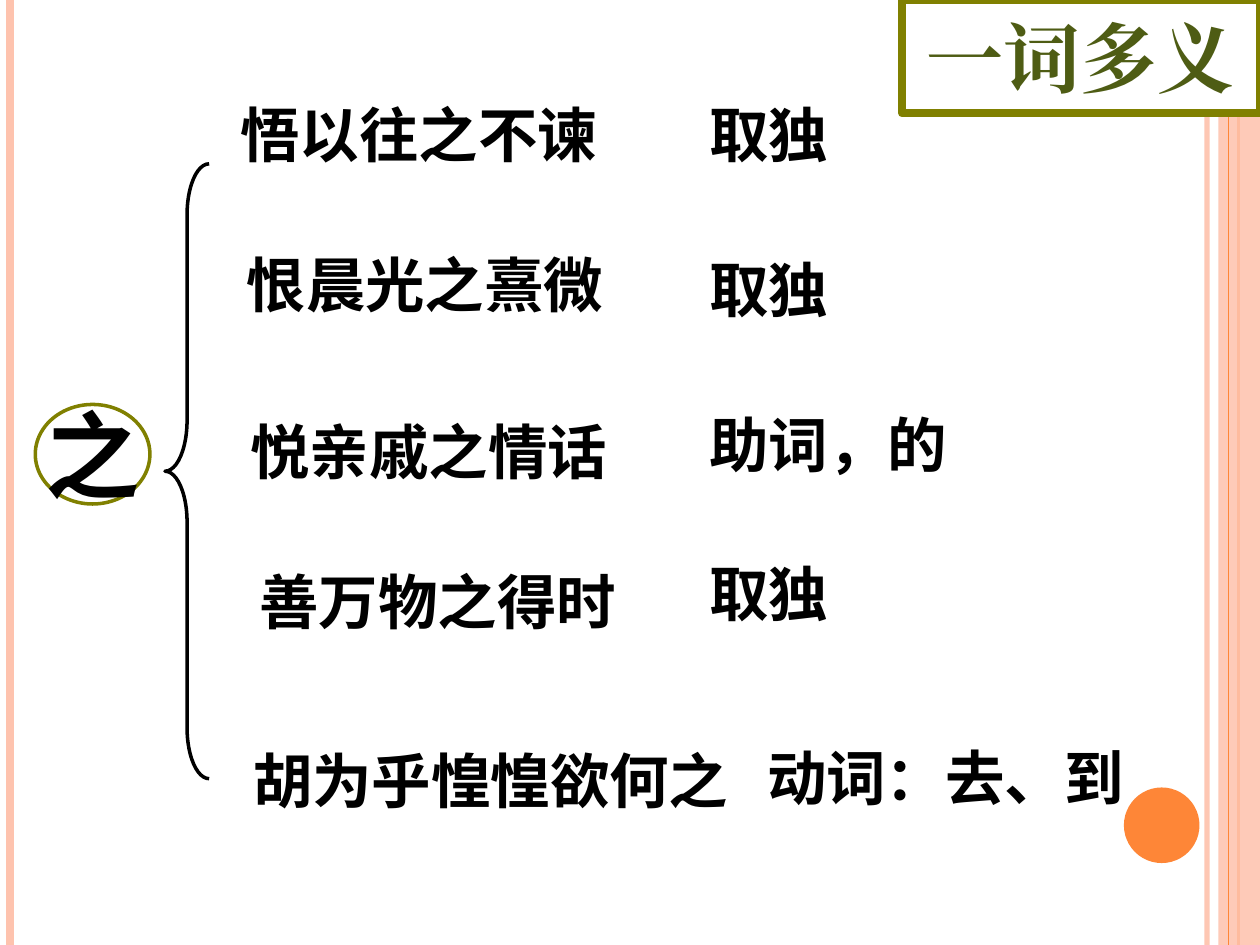
import pptx
import pptx.dml.color
import pptx.enum.shapes
import pptx.enum.text
import pptx.oxml.ns
import pptx.oxml.xmlchemy
import pptx.util

RGBColor = pptx.dml.color.RGBColor
Inches = pptx.util.Inches
Pt = pptx.util.Pt
SHAPE = pptx.enum.shapes.MSO_SHAPE
qn = pptx.oxml.ns.qn
OxmlElement = pptx.oxml.xmlchemy.OxmlElement

BLACK = RGBColor(0x00, 0x00, 0x00)
WHITE = RGBColor(0xFF, 0xFF, 0xFF)
PINK = RGBColor(0xFE, 0xC3, 0xAE)
ORANGE = RGBColor(0xFE, 0x86, 0x37)
OLIVE = RGBColor(0x80, 0x80, 0x00)
DARK_OLIVE = RGBColor(0x4E, 0x5C, 0x14)


def write_text(sp, text, size=34, font="Arial", color=BLACK, align=None,
               wrap=True, grow=True):
    tf = sp.text_frame
    tf.word_wrap = wrap
    tf.vertical_anchor = pptx.enum.text.MSO_ANCHOR.MIDDLE
    auto = pptx.enum.text.MSO_AUTO_SIZE
    tf.auto_size = auto.SHAPE_TO_FIT_TEXT if grow else auto.NONE
    p = tf.paragraphs[0]
    p.alignment = align
    r = p.add_run()
    r.text = text
    r.font.size = Pt(size)
    r.font.bold = True
    r.font.color.rgb = color
    r.font.name = font
    ea = OxmlElement("a:ea")
    ea.set("typeface", font)
    r.font._element.find(qn("a:latin")).addnext(ea)


class SlideBuilder:
    center = pptx.enum.text.PP_ALIGN.CENTER

    def __init__(self, slide):
        self.slide = slide

    def set_alpha(self, element, percent):
        alpha = OxmlElement("a:alpha")
        alpha.set("val", str(percent * 1000))
        element.find(".//" + qn("a:srgbClr")).append(alpha)

    def vertical_line(self, x, color, width, alpha=100):
        line = self.slide.shapes.add_connector(
            pptx.enum.shapes.MSO_CONNECTOR.STRAIGHT,
            Inches(x), Inches(0), Inches(x), Inches(7.5))
        line.line.color.rgb = color
        line.line.width = Pt(width)
        properties = line._element.spPr
        if alpha < 100:
            self.set_alpha(properties, alpha)
        properties.append(OxmlElement("a:effectLst"))

    def shape(self, kind, box, fill=None, line=None, width=2, alpha=100):
        sp = self.slide.shapes.add_shape(kind, *map(Inches, box))
        sp.shadow.inherit = False
        if fill is None:
            sp.fill.background()
        else:
            sp.fill.solid()
            sp.fill.fore_color.rgb = fill
            if alpha < 100:
                self.set_alpha(sp._element.spPr, alpha)
        if line is None:
            sp.line.fill.background()
        else:
            sp.line.color.rgb = line
            sp.line.width = Pt(width)
        return sp

    def text(self, text, x, y, width):
        sp = self.slide.shapes.add_textbox(
            Inches(x), Inches(y), Inches(width), Inches(0.67))
        write_text(sp, text)

    def borders(self):
        self.vertical_line(9.58, PINK, 3, alpha=93)
        self.vertical_line(0.08, PINK, 4.5)
        self.vertical_line(9.83, ORANGE, 1.5)
        self.shape(SHAPE.RECTANGLE, (9.67, 0, 0.33, 7.5), fill=PINK, alpha=87)
        self.vertical_line(9.75, ORANGE, 0.75)
        self.shape(SHAPE.OVAL, (8.92, 6.25, 0.6, 0.6), fill=ORANGE)

    def brace(self):
        sp = self.shape(SHAPE.LEFT_BRACE, (1.31, 1.3, 0.35, 4.88), line=BLACK)
        sp.adjustments[0] = 1.15
        sp.adjustments[1] = 0.5

    def headword(self, text):
        sp = self.shape(SHAPE.OVAL, (0.28, 3.21, 0.91, 0.79),
                        fill=WHITE, line=OLIVE)
        write_text(sp, text, size=54, font="Noto Sans CJK SC",
                   align=self.center, wrap=False, grow=False)

    def title(self, text):
        sp = self.shape(SHAPE.RECTANGLE, (7.16, 0, 2.84, 0.9),
                        fill=WHITE, line=OLIVE, width=4.5)
        write_text(sp, text, size=44, font="Times New Roman",
                   color=DARK_OLIVE, align=self.center)


def main():
    prs = pptx.Presentation()
    prs.slide_width = Inches(10)
    prs.slide_height = Inches(7.5)
    s = SlideBuilder(prs.slides.add_slide(prs.slide_layouts[6]))

    phrases = [
        ("悟以往之不谏", 1.81, 0.73, 3.86),
        ("恨晨光之熹微", 1.86, 1.92, 4.33),
        ("悦亲戚之情话", 1.89, 3.24, 3.07),
        ("善万物之得时", 1.96, 4.43, 3.31),
        ("胡为乎惶惶欲何之", 1.91, 5.85, 4.49),
    ]
    meanings = [
        ("取独", 5.53, 0.73, 1.57),
        ("取独", 5.53, 1.96, 2.24),
        ("助词，的", 5.53, 3.19, 2.22),
        ("取独", 5.53, 4.37, 1.42),
        ("动词：去、到", 5.99, 5.83, 3.26),
    ]

    s.borders()
    for phrase in phrases:
        s.text(*phrase)
    s.brace()
    for meaning in meanings:
        s.text(*meaning)
    s.headword("之")
    s.title("一词多义")
    prs.save("out.pptx")


if __name__ == "__main__":
    main()
